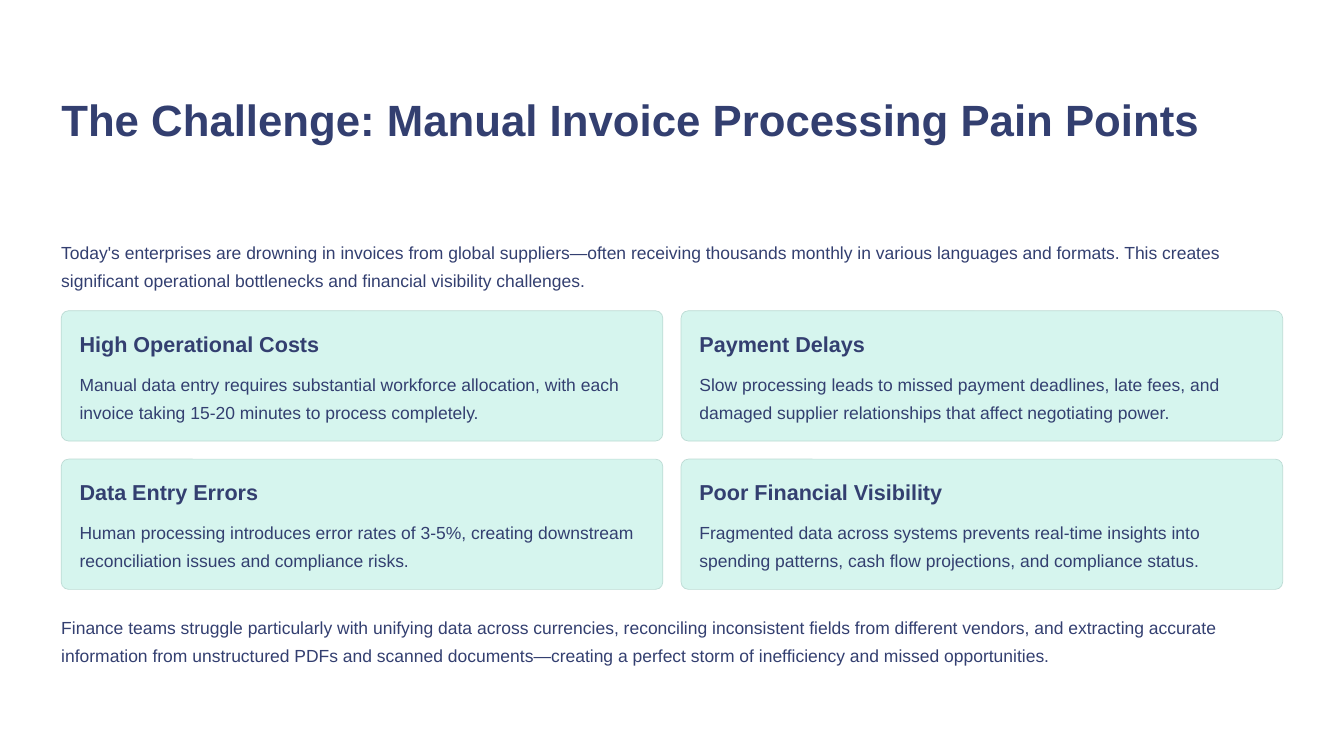
from dataclasses import dataclass
from pptx import Presentation
from pptx.dml.color import RGBColor
from pptx.enum.shapes import MSO_SHAPE
from pptx.enum.text import MSO_ANCHOR, MSO_AUTO_SIZE, PP_ALIGN
from pptx.util import Inches, Pt


@dataclass(frozen=True)
class Style:
    """Size, line pitch and weight of a kind of text."""
    size: float
    pitch: float
    bold: bool = False


class Theme:
    """Colours and type of the slide."""
    ink = RGBColor.from_string("333F70")
    mint = RGBColor.from_string("D6F5EE")
    edge = RGBColor.from_string("BCDBD4")
    font = "Arial"
    title = Style(37.5, 47, True)
    head = Style(18.5, 23.5, True)
    body = Style(15, 24)


@dataclass(frozen=True)
class Box:
    """A box in percent of the slide's width and height."""
    left: float
    top: float
    width: float
    height: float

    def place(self):
        """Return the box as slide lengths."""
        wide, high = Inches(16) / 100, Inches(9) / 100
        return (int(self.left * wide), int(self.top * high),
                int(self.width * wide), int(self.height * high))


LEFT, WIDTH = 4.56, 90.88
GAP_X, GAP_Y = 1.36, 2.4
HEAD_H, BODY_H = 3.67, 7.44
TITLE = "The Challenge: Manual Invoice Processing Pain Points"
INTRO = ("Today's enterprises are drowning in invoices from global suppliers—often "
         "receiving thousands monthly in various languages and formats. This creates "
         "significant operational bottlenecks and financial visibility challenges.")
CLOSE = ("Finance teams struggle particularly with unifying data across currencies, "
         "reconciling inconsistent fields from different vendors, and extracting accurate "
         "information from unstructured PDFs and scanned documents—creating a perfect "
         "storm of inefficiency and missed opportunities.")
CARDS = [
    ("High Operational Costs", 23.94,
     "Manual data entry requires substantial workforce allocation, with each "
     "invoice taking 15-20 minutes to process completely."),
    ("Payment Delays", 16.75,
     "Slow processing leads to missed payment deadlines, late fees, and "
     "damaged supplier relationships that affect negotiating power."),
    ("Data Entry Errors", 18.13,
     "Human processing introduces error rates of 3-5%, creating downstream "
     "reconciliation issues and compliance risks."),
    ("Poor Financial Visibility", 23.69,
     "Fragmented data across systems prevents real-time insights into "
     "spending patterns, cash flow projections, and compliance status."),
]


def write(shape, text, style):
    """Fill a shape's text frame with one styled run."""
    frame = shape.text_frame
    frame.word_wrap = True
    frame.auto_size = MSO_AUTO_SIZE.NONE
    frame.vertical_anchor = MSO_ANCHOR.TOP
    frame.margin_left = frame.margin_right = 0
    frame.margin_top = frame.margin_bottom = 0
    para = frame.paragraphs[0]
    para.alignment = PP_ALIGN.LEFT
    para.line_spacing = Pt(style.pitch)
    run = para.add_run()
    run.text = text
    run.font.name = Theme.font
    run.font.size = Pt(style.size)
    run.font.bold = style.bold
    run.font.color.rgb = Theme.ink


def label(slide, box, text, style):
    """Add a text box."""
    write(slide.shapes.add_textbox(*box.place()), text, style)


def header(slide, box):
    """Place the title."""
    title = slide.shapes.title
    title.left, title.top, title.width, title.height = box.place()
    write(title, TITLE, Theme.title)


def card(slide, box, head, span, text):
    """Draw one card with its heading and text."""
    panel = slide.shapes.add_shape(MSO_SHAPE.ROUNDED_RECTANGLE, *box.place())
    panel.adjustments[0] = 0.056
    panel.shadow.inherit = False
    panel.fill.solid()
    panel.fill.fore_color.rgb = Theme.mint
    panel.line.color.rgb = Theme.edge
    panel.line.width = Pt(0.6)
    left, top = box.left + GAP_X, box.top + GAP_Y
    label(slide, Box(left, top, span, HEAD_H), head, Theme.head)
    label(slide, Box(left, box.top + BODY_H, box.width - 2 * GAP_X, BODY_H),
          text, Theme.body)


def grid(slide, box):
    """Lay the cards out in two columns and two rows."""
    width = (box.width - GAP_X) / 2
    height = (box.height - GAP_Y) / 2
    for index, (head, span, text) in enumerate(CARDS):
        row, col = divmod(index, 2)
        cell = Box(box.left + col * (width + GAP_X),
                   box.top + row * (height + GAP_Y), width, height)
        card(slide, cell, head, span, text)


def main():
    """Build and save the slide."""
    deck = Presentation()
    deck.slide_width, deck.slide_height = Inches(16), Inches(9)
    slide = deck.slides.add_slide(deck.slide_layouts[5])
    header(slide, Box(LEFT, 12, WIDTH, 14.56))
    label(slide, Box(LEFT, 31.11, WIDTH, BODY_H), INTRO, Theme.body)
    grid(slide, Box(LEFT, 41.11, WIDTH, 36.85))
    label(slide, Box(LEFT, 80.67, WIDTH, BODY_H), CLOSE, Theme.body)
    deck.save("out.pptx")


if __name__ == "__main__":
    main()
